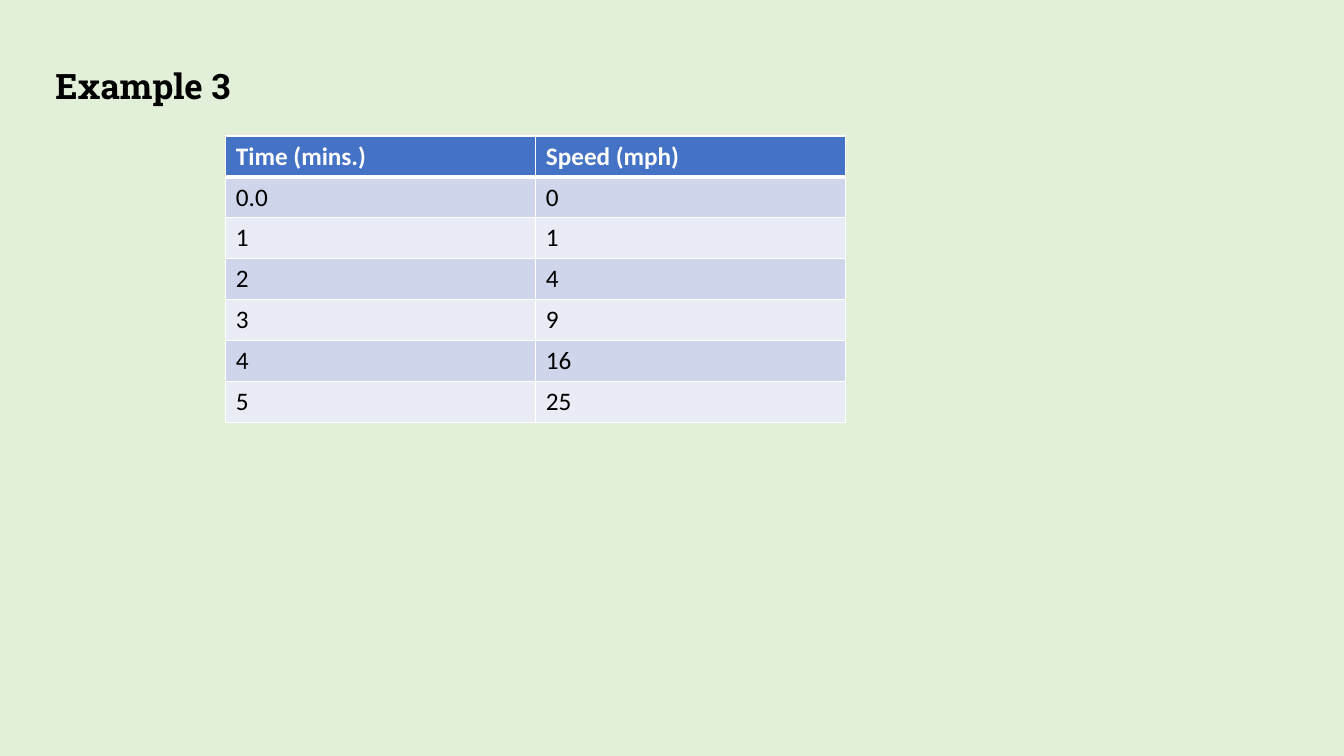
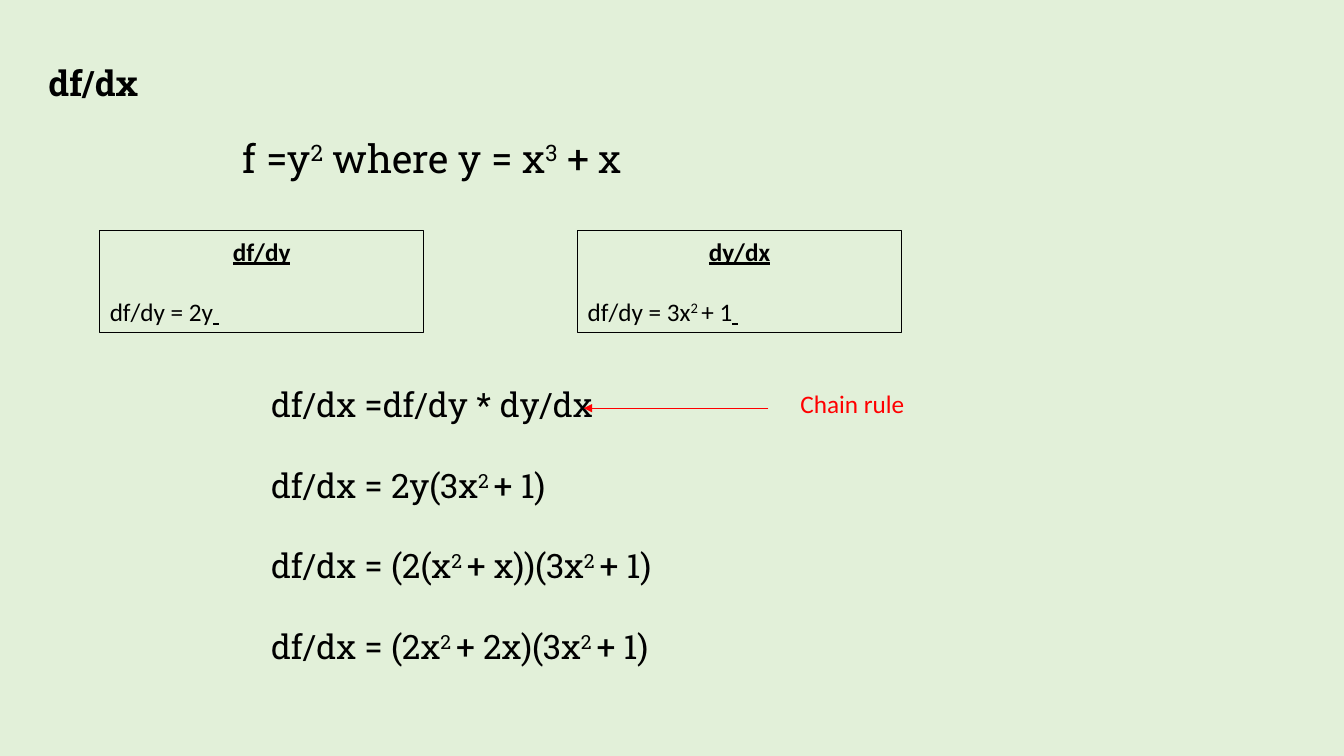
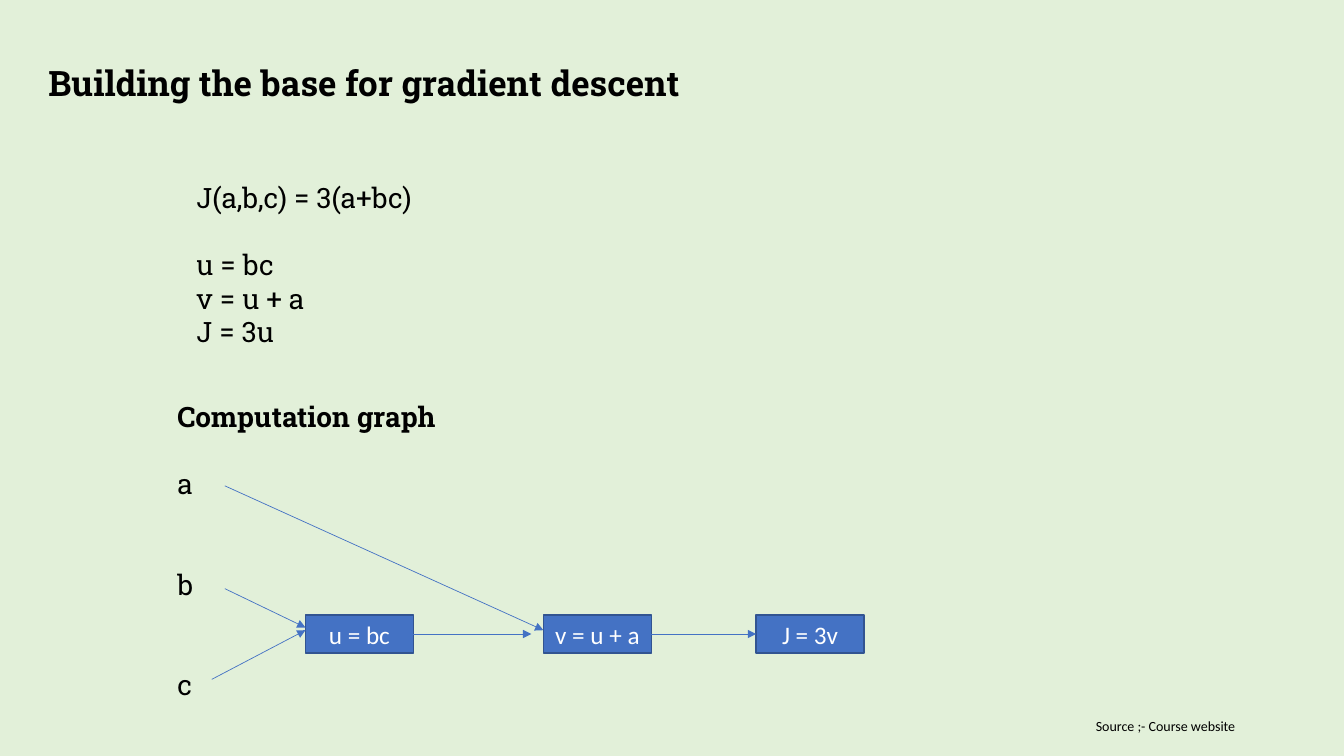
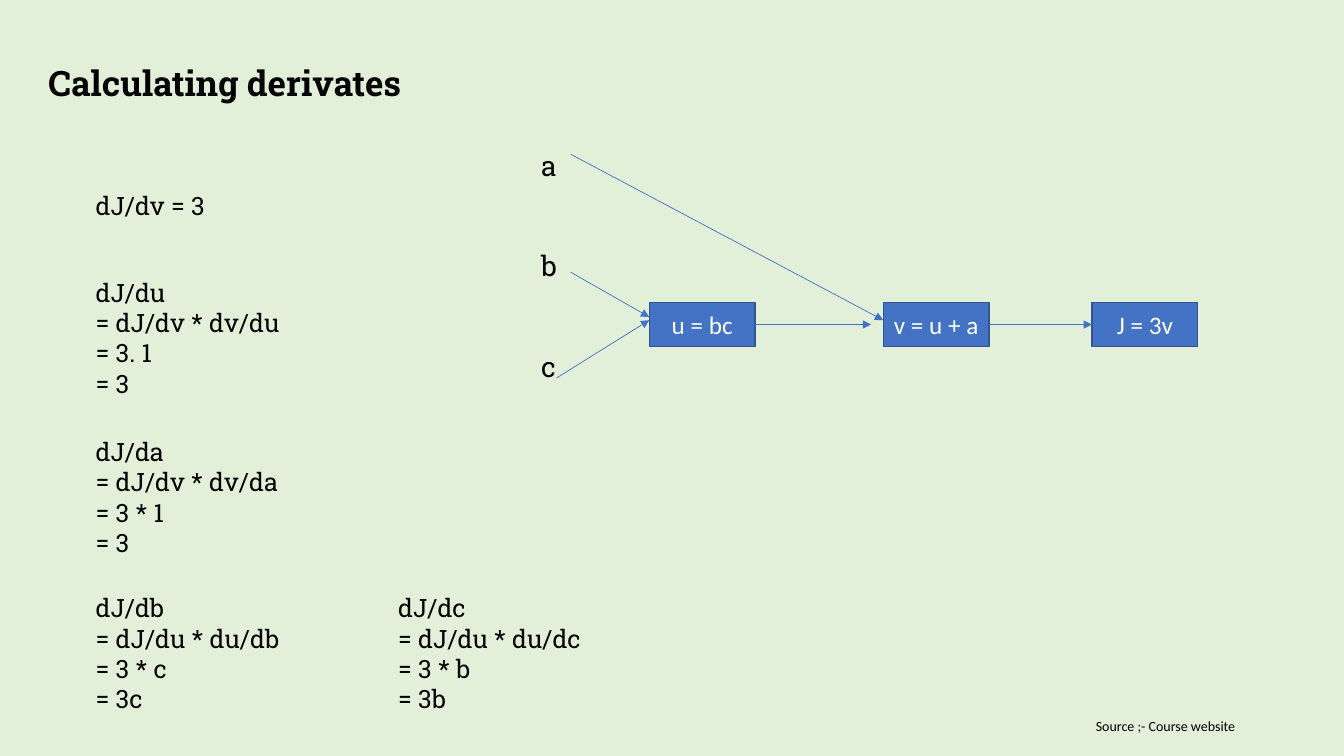
from dataclasses import dataclass

from lxml.etree import SubElement
from pptx import Presentation
from pptx.dml.color import RGBColor
from pptx.enum.shapes import MSO_CONNECTOR as Link, MSO_SHAPE as Form
from pptx.enum.text import MSO_ANCHOR as Anchor, MSO_AUTO_SIZE as Auto, PP_ALIGN as Align
from pptx.oxml.ns import qn
from pptx.util import Inches, Pt

HUES = {
    "back": "E2F0D9",
    "ink": "000000",
    "white": "FFFFFF",
    "blue": "4472C4",
    "edge": "325491",
    "dark": "CFD5EA",
    "light": "E9EBF5",
    "red": "FF0000",
}
SLAB = "Roboto Slab"
SANS = "Calibri"
PITCH = 1.2


@dataclass
class Line:
    text: str
    gap: int = 0
    bold: bool = False


@dataclass
class Style:
    size: float
    font: str = SLAB
    hue: str = "ink"


@dataclass
class Box:
    left: float
    top: float
    width: float
    height: float


@dataclass
class Graph:
    cols: tuple[float, float, float]
    top: float
    width: float
    height: float
    a: tuple[float, float]
    b: tuple[float, float]
    c: tuple[float, float]


NOTE = Style(18)
BODY = Style(20)
STEP = Style(24)
PLAIN = Style(18, SANS)
NODES = ("u = bc", "v = u + a", "J = 3v")


def color(name: str) -> RGBColor:
    return RGBColor.from_string(HUES[name])


def place(box: Box) -> tuple:
    return Inches(box.left), Inches(box.top), Inches(box.width), Inches(box.height)


def paint(run, style: Style, bold: bool = False) -> None:
    font = run.font
    font.size, font.name, font.bold = Pt(style.size), style.font, bold
    font.color.rgb = color(style.hue)


def write(frame, lines: list[Line], style: Style) -> None:
    frame.word_wrap = True
    for i, line in enumerate(lines):
        para = frame.add_paragraph() if i else frame.paragraphs[0]
        para.alignment = Align.LEFT
        para.space_before = Pt(line.gap * PITCH * style.size)
        head, *rest = line.text.split("^")
        para.text = head
        for part in rest:
            para.add_run().text = part
        for j, run in enumerate(para.runs):
            paint(run, style, line.bold)
            if j % 2:
                run.font._element.set("baseline", "30000")


def label(slide, box: Box, lines: list[Line], style: Style) -> None:
    write(slide.shapes.add_textbox(*place(box)).text_frame, lines, style)


def start(deck, title: str, left: float = 0.38, top: float = 0.56):
    slide = deck.slides.add_slide(deck.slide_layouts[5])
    head = slide.shapes.title
    head.left, head.top, head.width, head.height = place(Box(left, top, 8.66, 0.52))
    frame = head.text_frame
    write(frame, [Line(title, bold=True)], Style(25))
    frame.vertical_anchor = Anchor.TOP
    frame.auto_size = Auto.NONE
    return slide


def credit(slide) -> None:
    label(slide, Box(10.77, 7.07, 2.4, 0.27), [Line("Source ;- Course website")], Style(10, SANS))


def frame_box(slide, box: Box, fill: str | None, edge: str, width: float):
    shape = slide.shapes.add_shape(Form.RECTANGLE, *place(box))
    shape.shadow.inherit = False
    if fill:
        shape.fill.solid()
        shape.fill.fore_color.rgb = color(fill)
    else:
        shape.fill.background()
    shape.line.color.rgb = color(edge)
    shape.line.width = Pt(width)
    return shape.text_frame


def arrow(slide, tail: tuple[float, float], tip: tuple[float, float], hue: str = "blue") -> None:
    ends = [Inches(n) for n in (*tail, *tip)]
    link = slide.shapes.add_connector(Link.STRAIGHT, *ends)
    link.line.color.rgb = color(hue)
    link.line.width = Pt(0.5)
    props = link._element.spPr
    SubElement(props.find(qn("a:ln")), qn("a:tailEnd"), type="triangle")
    SubElement(props, qn("a:effectLst"))


def draw(slide, graph: Graph) -> None:
    for left, text in zip(graph.cols, NODES):
        frame = frame_box(slide, Box(left, graph.top, graph.width, graph.height), "blue", "edge", 1)
        write(frame, [Line(text)], Style(18, SANS, "white"))
        frame.vertical_anchor = Anchor.MIDDLE
        frame.paragraphs[0].alignment = Align.CENTER
    one, two, three = graph.cols
    mid = graph.top + graph.height / 2
    low = graph.top + graph.height * 0.4
    arrow(slide, graph.b, (one, graph.top + graph.height * 0.33))
    arrow(slide, graph.c, (one, low))
    arrow(slide, graph.a, (two, low))
    arrow(slide, (one + graph.width, mid), (two - 0.12, mid))
    arrow(slide, (two + graph.width, mid), (three, mid))


def border(cell, row: int) -> None:
    props = cell._tc.get_or_add_tcPr()
    thick = {"T": row == 1, "B": row == 0}
    for side in "LRTB":
        width = Pt(3 if thick.get(side) else 1)
        line = SubElement(props, qn(f"a:ln{side}"), w=str(width))
        fill = SubElement(line, qn("a:solidFill"))
        SubElement(fill, qn("a:srgbClr"), val=HUES["white"])


def speeds(deck) -> None:
    slide = start(deck, "Example 3", 0.45, 0.59)
    rows = [("Time (mins.)", "Speed (mph)"), ("0.0", "0")]
    rows += [(str(n), str(n * n)) for n in range(1, 6)]
    box = Box(2.24, 1.35, 6.15, 2.8)
    table = slide.shapes.add_table(len(rows), 2, *place(box)).table
    for r, row in enumerate(rows):
        fill = ("dark" if r % 2 else "light") if r else "blue"
        style = PLAIN if r else Style(18, SANS, "white")
        for c, text in enumerate(row):
            cell = table.cell(r, c)
            border(cell, r)
            cell.fill.solid()
            cell.fill.fore_color.rgb = color(fill)
            write(cell.text_frame, [Line(text, bold=r == 0)], style)


def chain(deck) -> None:
    slide = start(deck, "df/dx")
    label(slide, Box(2.31, 1.28, 4.87, 0.57), [Line("f =y^2^ where y = x^3^ + x")], Style(28))
    for left, name, rule in (
        (0.99, "df/dy", "df/dy = 2y"),
        (5.73, "dy/dx", "df/dy = 3x^2 ^+ 1"),
    ):
        frame = frame_box(slide, Box(left, 2.29, 3.21, 1.01), None, "ink", 0.75)
        write(frame, [Line(name, bold=True), Line(rule, 1)], PLAIN)
        frame.vertical_anchor = Anchor.TOP
        head, foot = frame.paragraphs
        head.alignment = Align.CENTER
        head.runs[0].font.underline = True
        end = foot.add_run()
        end.text = " "
        paint(end, PLAIN, True)
        end.font.underline = True
    steps = [
        Line("df/dx =df/dy * dy/dx"),
        Line("df/dx = 2y(3x^2 ^+ 1)", 1),
        Line("df/dx = (2(x^2 ^+ x))(3x^2 ^+ 1)", 1),
        Line("df/dx = (2x^2 ^+ 2x)(3x^2 ^+ 1)", 1),
    ]
    label(slide, Box(2.59, 3.76, 4.87, 3.74), steps, STEP)
    arrow(slide, (7.62, 4.05), (5.79, 4.05), "red")
    label(slide, Box(7.84, 3.8, 2.52, 0.4), [Line("Chain rule")], Style(18, SANS, "red"))


def base(deck) -> None:
    slide = start(deck, "Building the base for gradient descent")
    sums = [Line("J(a,b,c) = 3(a+bc)"), Line("u = bc", 1), Line("v = u + a"), Line("J = 3u")]
    label(slide, Box(1.85, 1.74, 7.19, 1.78), sums, BODY)
    names = [Line("Computation graph", bold=True), Line("a", 1), Line("b", 2), Line("c", 2)]
    label(slide, Box(1.66, 3.91, 4.01, 3.5), names, BODY)
    draw(slide, Graph((3.03, 5.39, 7.5), 6.1, 1.07, 0.38, (2.23, 4.82), (2.23, 5.84), (2.1, 6.74)))
    credit(slide)


def slopes(deck) -> None:
    slide = start(deck, "Calculating derivates")
    draw(slide, Graph((6.44, 8.76, 10.83), 3, 1.05, 0.44, (5.66, 1.53), (5.66, 2.7), (5.52, 3.75)))
    label(slide, Box(5.27, 1.42, 0.54, 2.5), [Line("a"), Line("b", 2), Line("c", 2)], BODY)
    for left, top, texts in (
        (0.85, 1.84, ("dJ/dv = 3",)),
        (0.85, 2.7, ("dJ/du", "= dJ/dv * dv/du", "= 3. 1", "= 3")),
        (0.85, 4.28, ("dJ/da", "= dJ/dv * dv/da", "= 3 * 1", "= 3")),
        (0.85, 5.83, ("dJ/db", "= dJ/du * du/db", "= 3 * c", "= 3c")),
        (3.85, 5.83, ("dJ/dc", "= dJ/du * du/dc", "= 3 * b", "= 3b")),
    ):
        box = Box(left, top, 2.59, 0.1 + 0.3 * len(texts))
        label(slide, box, [Line(text) for text in texts], NOTE)
    credit(slide)


def main() -> None:
    deck = Presentation()
    deck.slide_width, deck.slide_height = Inches(13.33), Inches(7.5)
    back = deck.slide_master.background.fill
    back.solid()
    back.fore_color.rgb = color("back")
    for build in (speeds, chain, base, slopes):
        build(deck)
    deck.save("out.pptx")


if __name__ == "__main__":
    main()
